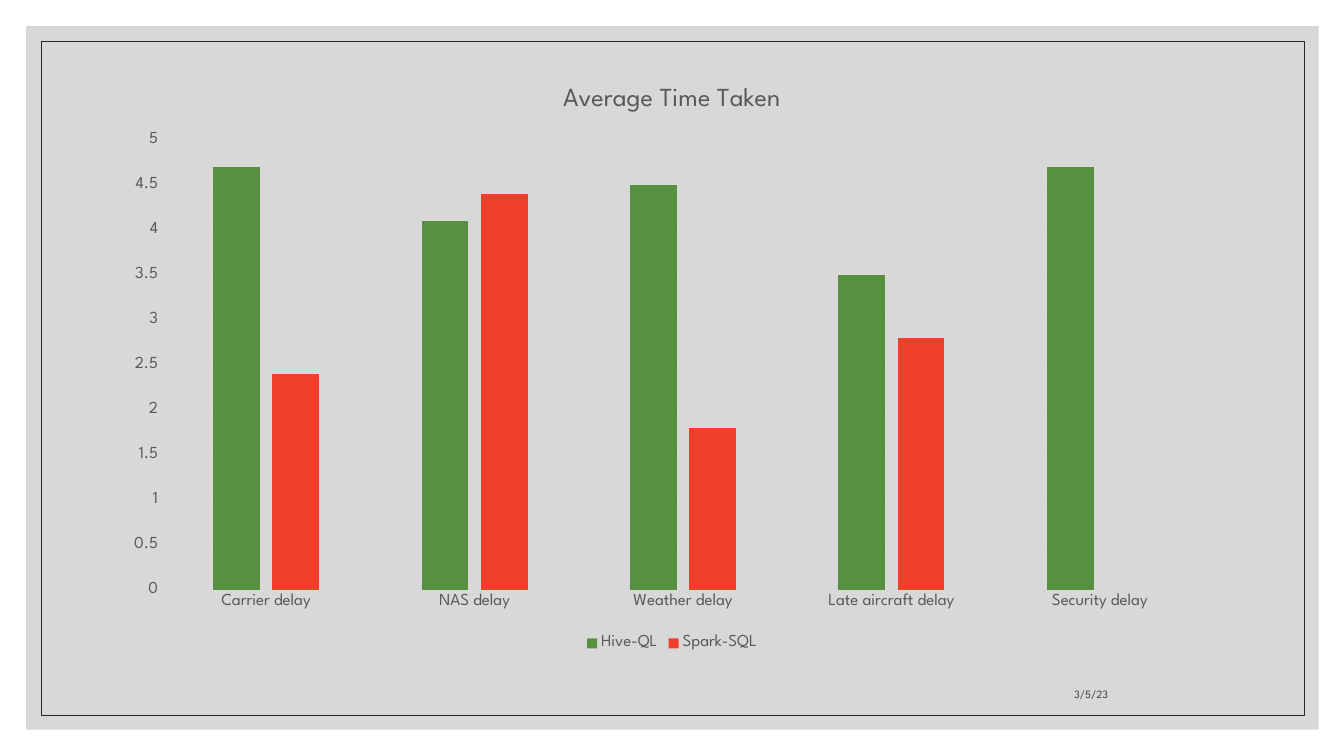
from lxml import etree
from pptx import Presentation
from pptx import util as u
from pptx.chart.data import CategoryChartData
from pptx.dml.color import RGBColor
from pptx.enum import chart as ch, shapes, text
from pptx.oxml import ns

PX = 9525  # 96 px to the inch
W, H = 1280, 720
FONT = "League Spartan"
PANEL = RGBColor(0xBF, 0xBF, 0xBF)
FRAME = RGBColor(0x26, 0x26, 0x26)
GREY = RGBColor(0x59, 0x59, 0x59)
DARK = RGBColor(0x40, 0x40, 0x40)
RULE = RGBColor(0xD9, 0xD9, 0xD9)
GREEN = RGBColor(0x57, 0x90, 0x3F)
RED = RGBColor(0xF0, 0x3F, 0x2B)

CATS = ["Carrier delay", "NAS delay", "Weather delay",
        "Late aircraft delay", "Security delay"]
SERIES = [("Hive-QL", GREEN, [4.7, 4.1, 4.5, 3.5, 4.7]),
          ("Spark-SQL", RED, [2.4, 4.4, 1.8, 2.8, None])]


def emu(box):
    return [n * PX for n in box]


def style(font, size=12, color=GREY):
    font.name, font.size, font.bold = FONT, u.Pt(size), False
    font.color.rgb = color


def write(frame, words, size=12, color=GREY, align=text.PP_ALIGN.CENTER):
    para = frame.paragraphs[0]
    para.alignment = align
    run = para.add_run()
    run.text = words
    style(run.font, size, color)


def rect(slide, box):
    shape = slide.shapes.add_shape(shapes.MSO_SHAPE.RECTANGLE, *emu(box))
    shape.shadow.inherit = False
    return shape


# Grey panel with a thin frame inside it
def draw_back(slide, box):
    x, y, w, h = box
    panel = rect(slide, box)
    panel.fill.solid()
    panel.fill.fore_color.rgb = PANEL
    panel.line.fill.background()
    tint = panel.fill._xPr.find(".//" + ns.qn("a:srgbClr"))
    etree.SubElement(tint, ns.qn("a:alpha"), val="60000")

    gap = 14
    frame = rect(slide, (x + gap, y + gap, w - 2 * gap, h - 2 * gap))
    frame.fill.background()
    frame.line.color.rgb = FRAME
    frame.line.width = u.Pt(0.5)


# Fixed inner plot area, as shares of the chart box
def place_plot(chart, **share):
    plot = chart._chartSpace.chart.plotArea
    for old in plot.findall(ns.qn("c:layout")):
        plot.remove(old)
    layout = etree.Element(ns.qn("c:layout"))
    plot.insert(0, layout)
    manual = etree.SubElement(layout, ns.qn("c:manualLayout"))
    parts = dict(layoutTarget="inner", xMode="edge", yMode="edge", **share)
    for tag, val in parts.items():
        etree.SubElement(manual, ns.qn("c:" + tag), val=str(val))


# Clustered columns with title, axes and legend
def draw_chart(slide, box):
    data = CategoryChartData()
    data.categories = CATS
    for name, _, vals in SERIES:
        data.add_series(name, vals)
    chart = slide.shapes.add_chart(
        ch.XL_CHART_TYPE.COLUMN_CLUSTERED, *emu(box), data).chart
    style(chart.font)
    chart.has_title = True
    write(chart.chart_title.text_frame, "Average Time Taken", 18.6)
    chart.chart_title.include_in_layout = False

    plot = chart.plots[0]
    plot.gap_width, plot.overlap = 219, -27
    plot.vary_by_categories = False
    for bars, (_, color, _) in zip(plot.series, SERIES):
        bars.format.fill.solid()
        bars.format.fill.fore_color.rgb = color
        bars.invert_if_negative = False

    cat, val = chart.category_axis, chart.value_axis
    for axis in (cat, val):
        axis.major_tick_mark = axis.minor_tick_mark = ch.XL_TICK_MARK.NONE
        style(axis.tick_labels.font)
    val.minimum_scale, val.maximum_scale, val.major_unit = 0, 5, 0.5
    val.has_major_gridlines = True
    val.format.line.fill.background()
    for line in (cat.format.line, val.major_gridlines.format.line):
        line.color.rgb = RULE
        line.width = u.Pt(0.75)

    chart.has_legend = True
    chart.legend.position = ch.XL_LEGEND_POSITION.BOTTOM
    chart.legend.include_in_layout = False
    style(chart.legend.font)
    place_plot(chart, x=0.04, y=0.13, w=0.94, h=0.76)


# Date at the lower right
def draw_date(slide, box):
    frame = slide.shapes.add_textbox(*emu(box)).text_frame
    frame.word_wrap = True
    frame.vertical_anchor = text.MSO_ANCHOR.BOTTOM
    write(frame, "3/5/23", 8, DARK, text.PP_ALIGN.RIGHT)


def main():
    deck = Presentation()
    deck.slide_width, deck.slide_height = W * PX, H * PX
    slide = deck.slides.add_slide(deck.slide_layouts[6])
    draw_back(slide, (25, 25, 1231, 670))
    draw_chart(slide, (112, 60, 1056, 564))
    draw_date(slide, (762, 634, 303, 38))
    deck.save("out.pptx")


if __name__ == "__main__":
    main()
